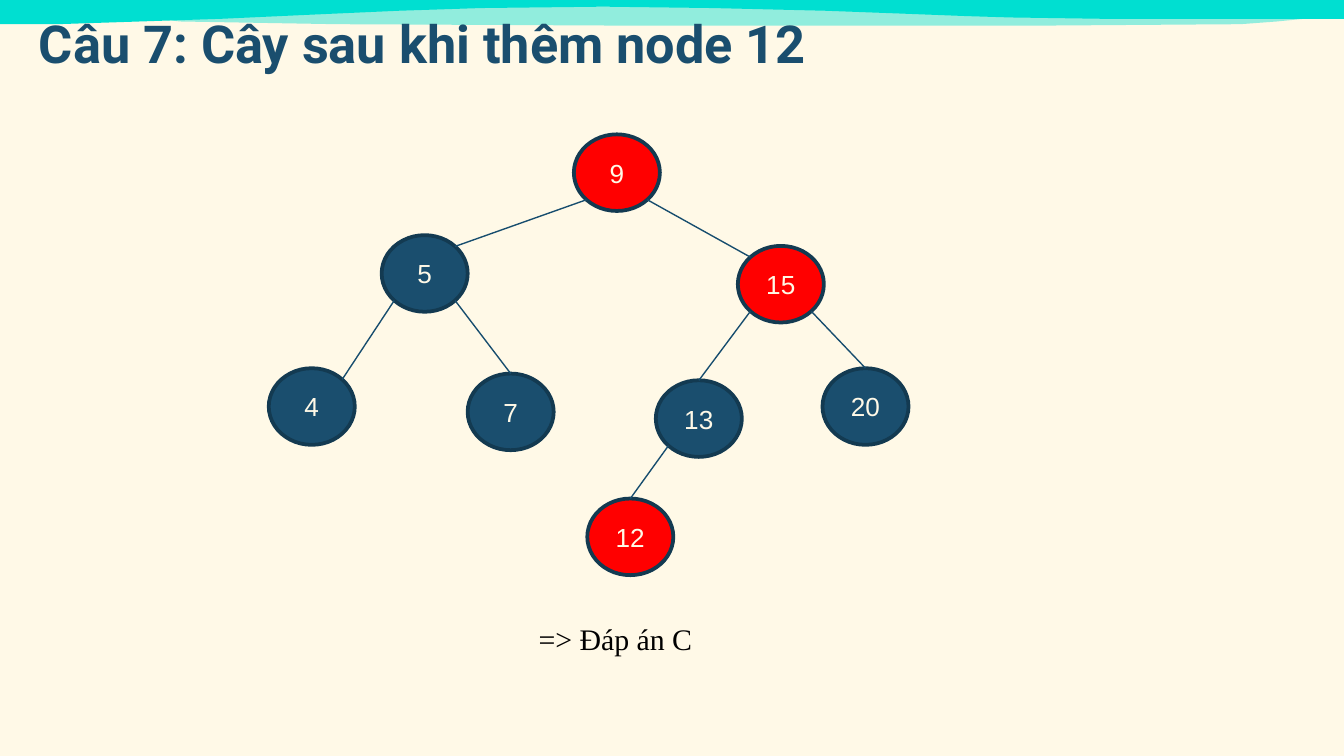
import pptx
import pptx.util
import pptx.dml.color
import pptx.enum.shapes
import pptx.enum.text
import lxml.etree

Inches = pptx.util.Inches
Pt = pptx.util.Pt
Align = pptx.enum.text.PP_ALIGN
Anchor = pptx.enum.text.MSO_ANCHOR
A = "http://schemas.openxmlformats.org/drawingml/2006/main"

COLORS = {"bg": "FFF9E7", "wave": "00DFD1", "navy": "1A4E6E", "outline": "133A51",
          "edge": "174D6E", "red": "FF0000", "black": "000000"}
TITLE = "Câu 7: Cây sau khi thêm node 12"
ANSWER = "=> Đáp án C"
NODE_W, NODE_H = 0.64, 0.57
NODES = {
    "9": (4.27, 1, "red"),
    "5": (2.84, 1.75, "navy"),
    "15": (5.49, 1.83, "red"),
    "4": (2, 2.74, "navy"),
    "7": (3.48, 2.78, "navy"),
    "13": (4.88, 2.83, "navy"),
    "20": (6.12, 2.74, "navy"),
    "12": (4.37, 3.71, "red"),
}
DIAGONAL = 0.5 ** 0.5
SITES = {"top": (0, -1), "top left": (-DIAGONAL, -DIAGONAL), "top right": (DIAGONAL, -DIAGONAL),
         "bottom left": (-DIAGONAL, DIAGONAL), "bottom right": (DIAGONAL, DIAGONAL)}
EDGES = [
    ("9", "bottom left", "5", "top right"),
    ("9", "bottom right", "15", "top left"),
    ("5", "bottom left", "4", "top right"),
    ("5", "bottom right", "7", "top"),
    ("15", "bottom left", "13", "top"),
    ("15", "bottom right", "20", "top"),
    ("13", "bottom left", "12", "top"),
]
WAVE = [(0, 0), (0, 0.18), (0.43, 0.18), (1.04, 0.16), (1.65, 0.14), (2.3, 0.11),
        (2.97, 0.08), (3.58, 0.06), (4.49, 0.05), (5.3, 0.06), (6.14, 0.08),
        (6.67, 0.1), (7.19, 0.12), (7.52, 0.13), (8.2, 0.14), (10, 0.14), (10, 0)]
WAVE_SHADE = [(0.98, 0.04), (9.93, 0.06), (9.86, 0.1), (9.7, 0.14), (9.5, 0.16),
              (9.23, 0.18), (7.8, 0.19), (4.58, 0.19), (2.5, 0.18), (1.34, 0.16),
              (1.08, 0.13), (0.98, 0.09)]


def rgb(name):
    return pptx.dml.color.RGBColor.from_string(COLORS[name])


def write(tf, text, font="Arial", size=14, color="bg", bold=False,
          align=Align.LEFT, anchor=Anchor.TOP, wrap=True, margins=(0.1, 0.05)):
    tf.word_wrap = wrap
    tf.auto_size = pptx.enum.text.MSO_AUTO_SIZE.NONE
    tf.vertical_anchor = anchor
    tf.margin_left = tf.margin_right = Inches(margins[0])
    tf.margin_top = tf.margin_bottom = Inches(margins[1])
    p = tf.paragraphs[0]
    p.alignment = align
    r = p.add_run()
    r.text = text
    r.font.name, r.font.size, r.font.bold = font, Pt(size), bold
    r.font.color.rgb = rgb(color)


def paint(sp, fill, line=None):
    sp.shadow.inherit = False
    sp.fill.solid()
    sp.fill.fore_color.rgb = rgb(fill)
    if line:
        sp.line.color.rgb = rgb(line)
        sp.line.width = Pt(2)
    else:
        sp.line.fill.background()


def add_outline(points):
    pts = [(Inches(x), Inches(y)) for x, y in points]
    fb = s.shapes.build_freeform(*pts[0])
    fb.add_line_segments(pts[1:], close=True)
    sp = fb.convert_to_shape()
    paint(sp, "wave")
    return sp


def site(node, side):
    x, y, _ = NODES[node]
    dx, dy = SITES[side]
    return Inches(x + NODE_W / 2 * (1 + dx)), Inches(y + NODE_H / 2 * (1 + dy))


prs = pptx.Presentation()
prs.slide_width, prs.slide_height = Inches(10), Inches(10 * 9 / 16)
s = prs.slides.add_slide(prs.slide_layouts[5])
s.background.fill.solid()
s.background.fill.fore_color.rgb = rgb("bg")

add_outline(WAVE)
shade = add_outline(WAVE_SHADE)
color = shade.fill._xPr.find(f".//{{{A}}}srgbClr")
lxml.etree.SubElement(color, f"{{{A}}}alpha", val="43000")

title = s.shapes.title
title.left, title.top, title.width, title.height = map(Inches, (0.19, -0.04, 9.49, 0.69))
s.shapes._spTree.append(title._element)
write(title.text_frame, TITLE, font="Roboto", size=28, color="navy", bold=True,
      anchor=Anchor.BOTTOM, margins=(0.1, 0.1))

for label, (x, y, fill) in NODES.items():
    sp = s.shapes.add_shape(pptx.enum.shapes.MSO_SHAPE.OVAL,
                            Inches(x), Inches(y), Inches(NODE_W), Inches(NODE_H))
    paint(sp, fill, "outline")
    write(sp.text_frame, label, align=Align.CENTER, anchor=Anchor.MIDDLE)

for parent, start, child, end in EDGES:
    edge = s.shapes.add_connector(pptx.enum.shapes.MSO_CONNECTOR.STRAIGHT,
                                  *site(parent, start), *site(child, end))
    edge.line.color.rgb = rgb("edge")
    edge.line.width = Pt(0.75)
    lxml.etree.SubElement(edge._element.spPr, f"{{{A}}}effectLst")

answer = s.shapes.add_textbox(Inches(3.91), Inches(4.57), Inches(1.36), Inches(0.37))
write(answer.text_frame, ANSWER, font="Times New Roman", size=16, color="black", wrap=False)

prs.save("out.pptx")
